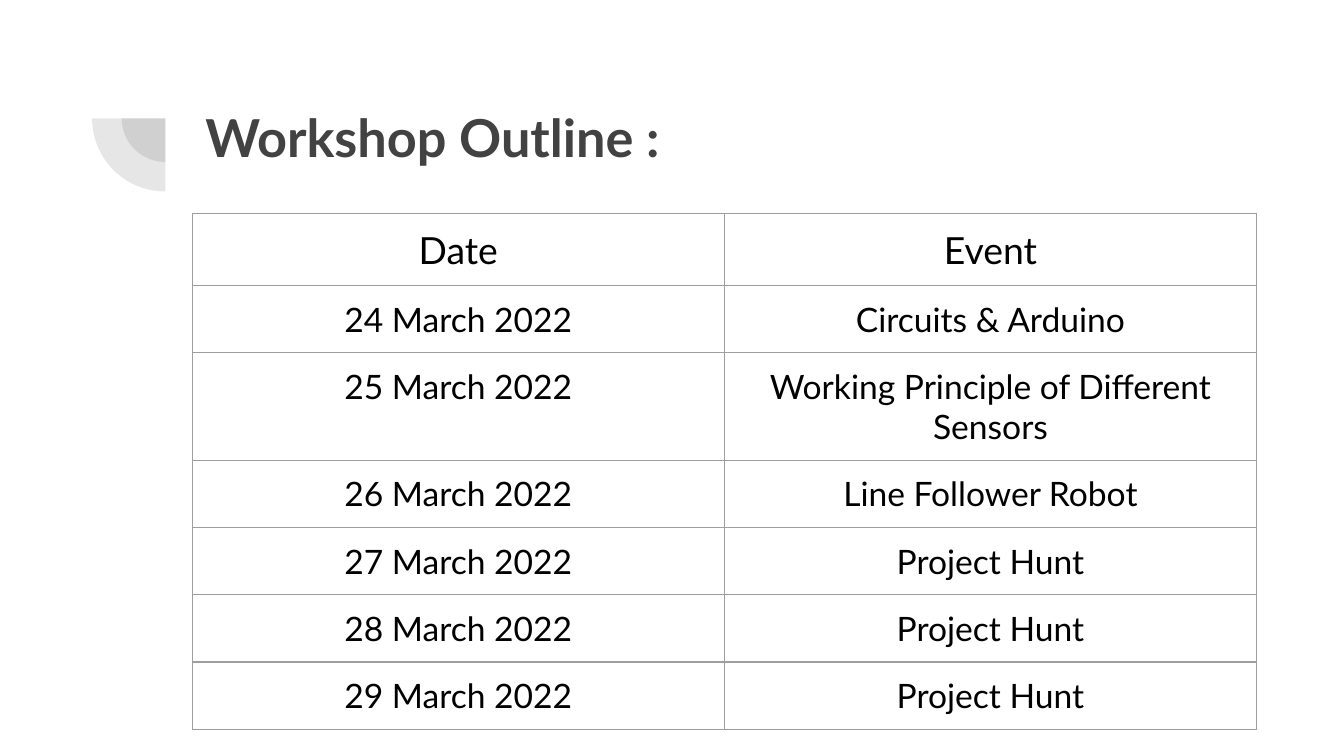
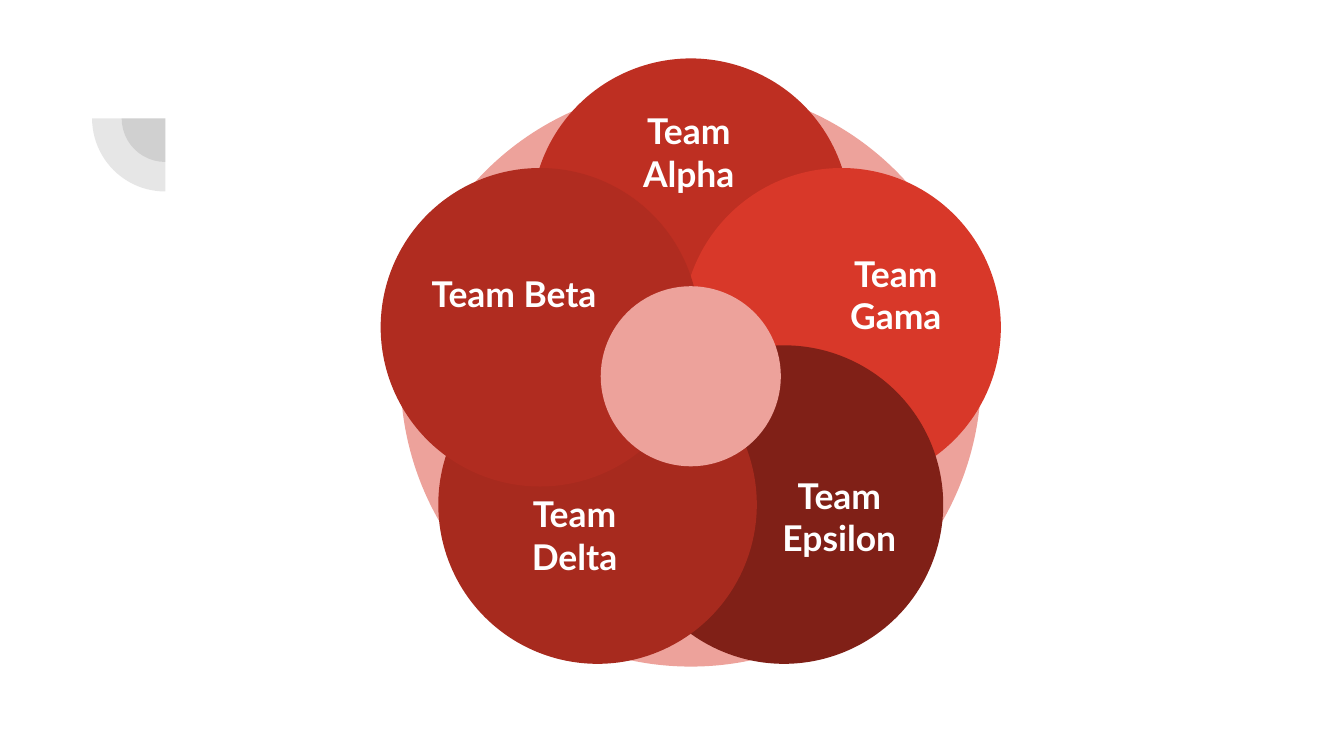
from math import cos, radians, sin

from lxml import etree
from pptx import Presentation
from pptx.dml.color import RGBColor
from pptx.enum.shapes import MSO_SHAPE
from pptx.enum.text import MSO_ANCHOR, PP_ALIGN
from pptx.oxml.ns import qn
from pptx.util import Inches, Pt

OVAL, PIE = MSO_SHAPE.OVAL, MSO_SHAPE.PIE
CENTER, LEFT = PP_ALIGN.CENTER, PP_ALIGN.LEFT
TOP, MIDDLE = MSO_ANCHOR.TOP, MSO_ANCHOR.MIDDLE

FONT = "Lato"
GREY = RGBColor(0x42, 0x42, 0x42)
BLACK = RGBColor(0x00, 0x00, 0x00)
WHITE = RGBColor(0xFF, 0xFF, 0xFF)
PINK = RGBColor(0xED, 0xA2, 0x9B)
BORDER = RGBColor(0x9E, 0x9E, 0x9E)

WIDTH = 10
HEIGHT = WIDTH * 9 / 16
INSET = Inches(0.1)

# Corner ornament: two quarter discs around one centre
ARC_CENTER = (1.23, 0.88)
ARC_DIAMETERS = (0.65, 1.09)
ARC_OPACITY = 13

TITLE = "Workshop Outline :"
SCHEDULE = [
    ("Date", "Event"),
    ("24 March 2022", "Circuits & Arduino"),
    ("25 March 2022", "Working Principle of Different Sensors"),
    ("26 March 2022", "Line Follower Robot"),
    ("27 March 2022", "Project Hunt"),
    ("28 March 2022", "Project Hunt"),
    ("29 March 2022", "Project Hunt"),
]
CONTENT_LEFT = 1.43
COLUMN_WIDTH, ROW_HEIGHT = 3.96, 0.42

# Team name, colour, left and top of its label; clockwise from the top
TEAMS = [
    ("Team Alpha", RGBColor(0xBE, 0x2F, 0x22), 4.4, 0.77),
    ("Team Gama", RGBColor(0xD8, 0x38, 0x29), 5.94, 1.83),
    ("Team Epsilon", RGBColor(0x80, 0x20, 0x17), 5.52, 3.48),
    ("Team Delta", RGBColor(0xA7, 0x2A, 0x1E), 3.55, 3.62),
    ("Team Beta", RGBColor(0xB0, 0x2C, 0x20), 3.1, 1.82),
]
FLOWER_CENTER = (5.14, 2.8)
RING, PETAL, HUB = 4.32, 2.37, 1.34
PETAL_ORBIT = 1.18
LABEL_SIZE = (1.45, 0.72)


def format_text(text_frame, text, size, color, bold=False, align=LEFT):
    text_frame.text = text
    paragraph = text_frame.paragraphs[0]
    paragraph.alignment = align
    font = paragraph.runs[0].font
    font.name, font.size, font.bold = FONT, Pt(size), bold
    font.color.rgb = color


def add_text(shapes, box, text, size, color, align=LEFT, anchor=TOP):
    text_frame = shapes.add_textbox(*map(Inches, box)).text_frame
    text_frame.word_wrap = True
    text_frame.vertical_anchor = anchor
    text_frame.margin_left = text_frame.margin_right = INSET
    text_frame.margin_top = text_frame.margin_bottom = INSET
    format_text(text_frame, text, size, color, True, align)


def add_round(shapes, kind, center, diameter, color):
    """Add an outline-free shape with equal sides around a centre."""
    left, top = (Inches(position - diameter / 2) for position in center)
    shape = shapes.add_shape(kind, left, top, Inches(diameter), Inches(diameter))
    shape.shadow.inherit = False
    shape.fill.solid()
    shape.fill.fore_color.rgb = color
    shape.line.fill.background()
    return shape


def add_slide(presentation):
    """Add a blank slide with the corner ornament."""
    slide = presentation.slides.add_slide(presentation.slide_layouts[6])
    ornament = slide.shapes.add_group_shape()
    for diameter in ARC_DIAMETERS:
        arc = add_round(ornament.shapes, PIE, ARC_CENTER, diameter, GREY)
        arc.adjustments[0], arc.adjustments[1] = 107.93, 162
        arc.rotation = 270
        color = arc.fill._xPr.find(".//" + qn("a:srgbClr"))
        etree.SubElement(color, qn("a:alpha"), val=str(ARC_OPACITY * 1000))
    return slide


def style_cell(cell):
    cell.margin_left = cell.margin_right = INSET
    cell.margin_top = cell.margin_bottom = INSET
    properties = cell._tc.get_or_add_tcPr()
    for side in ("a:lnL", "a:lnR", "a:lnT", "a:lnB"):
        line = etree.SubElement(properties, qn(side), w=str(Pt(0.75)))
        fill = etree.SubElement(line, qn("a:solidFill"))
        etree.SubElement(fill, qn("a:srgbClr"), val=str(BORDER))
    cell.fill.background()


def build_outline(presentation):
    shapes = add_slide(presentation).shapes
    add_text(shapes, (CONTENT_LEFT, 0.68, 7.69, 1.09), TITLE, 28, GREY)
    rows, columns = len(SCHEDULE), len(SCHEDULE[0])
    table = shapes.add_table(
        rows, columns, Inches(CONTENT_LEFT), Inches(1.59),
        Inches(columns * COLUMN_WIDTH), Inches(rows * ROW_HEIGHT)).table
    table.first_row = table.horz_banding = False
    for row, entries in enumerate(SCHEDULE):
        for column, text in enumerate(entries):
            cell = table.cell(row, column)
            style_cell(cell)
            size = 18 if row else 20
            format_text(cell.text_frame, text, size, BLACK, align=CENTER)


def build_teams(presentation):
    shapes = add_slide(presentation).shapes
    add_round(shapes, OVAL, FLOWER_CENTER, RING, PINK)
    center_x, center_y = FLOWER_CENTER
    for index, (team, color, left, top) in enumerate(TEAMS):
        angle = radians(index * 360 / len(TEAMS) - 90)
        center = (center_x + PETAL_ORBIT * cos(angle),
                  center_y + PETAL_ORBIT * sin(angle))
        group = shapes.add_group_shape()
        add_round(group.shapes, OVAL, center, PETAL, color)
        add_text(group.shapes, (left, top, *LABEL_SIZE), team, 19, WHITE,
                 CENTER, MIDDLE)
    add_round(shapes, OVAL, FLOWER_CENTER, HUB, PINK)


def main():
    presentation = Presentation()
    presentation.slide_width = Inches(WIDTH)
    presentation.slide_height = Inches(HEIGHT)
    build_outline(presentation)
    build_teams(presentation)
    presentation.save("out.pptx")


if __name__ == "__main__":
    main()
